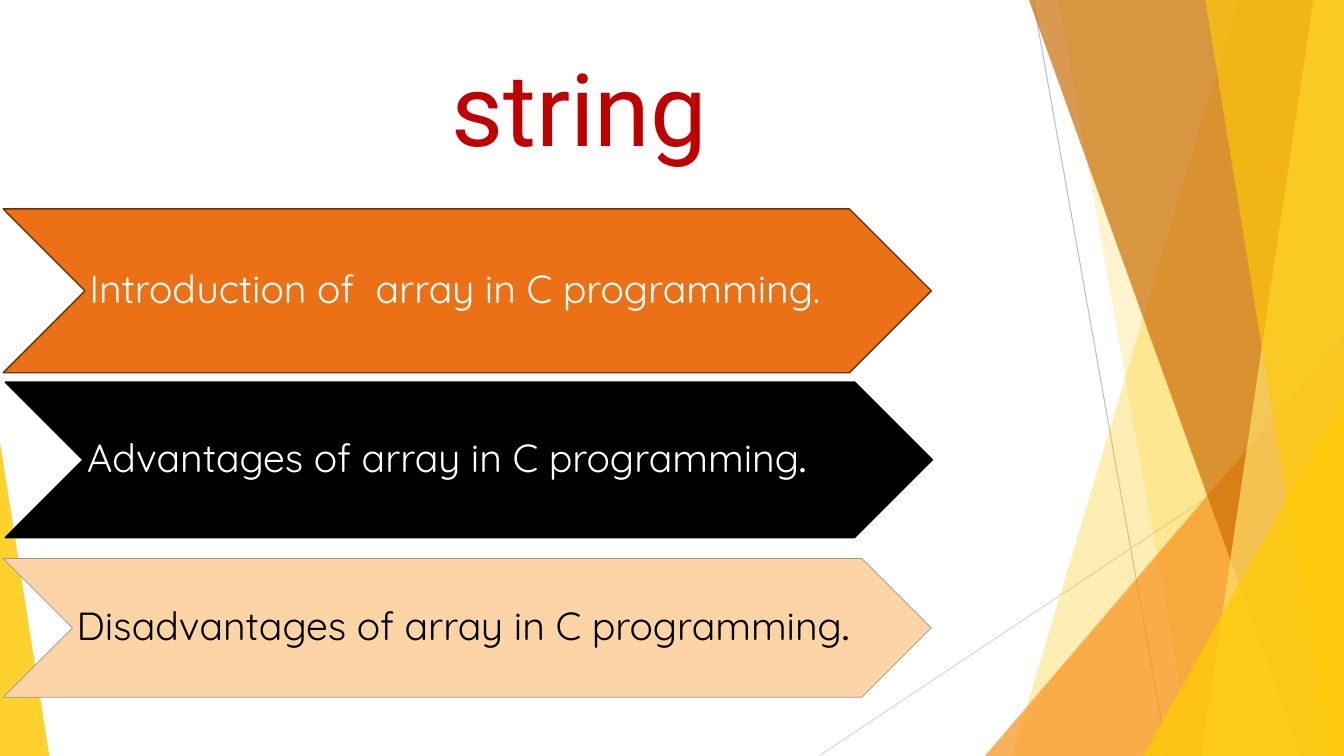
import dataclasses
import typing

import lxml.etree
import pptx
import pptx.dml.color
import pptx.enum.shapes
import pptx.enum.text
import pptx.oxml.ns
import pptx.util

RGB = pptx.dml.color.RGBColor
KIND = pptx.enum.shapes.MSO_SHAPE
ALIGN = pptx.enum.text.PP_ALIGN
ANCHOR = pptx.enum.text.MSO_ANCHOR

PX = 9525
WIDE, HIGH = 1280, 720

WHITE = RGB(0xFF, 0xFF, 0xFF)
BLACK = RGB(0x00, 0x00, 0x00)
RED = RGB(0xC0, 0x00, 0x00)
GOLD = RGB(0xFF, 0xCA, 0x08)
LEMON = RGB(0xFF, 0xDF, 0x6B)
AMBER = RGB(0xF8, 0x93, 0x1D)
BROWN = RGB(0xCA, 0x6F, 0x06)
ORANGE = RGB(0xEC, 0x70, 0x16)
RUST = RGB(0x67, 0x31, 0x0A)
PEACH = RGB(0xFC, 0xD4, 0xA5)
GREY = RGB(0x97, 0x97, 0x97)
SILVER = RGB(0xBF, 0xBF, 0xBF)
PALE = RGB(0xD9, 0xD9, 0xD9)


@dataclasses.dataclass
class Ray:
    x1: int
    y1: int
    x2: int
    y2: int
    color: RGB


@dataclasses.dataclass
class Band:
    """A strip from a slanted left edge to the right side of the slide."""
    top: int
    foot: int
    color: RGB
    alpha: int


@dataclasses.dataclass
class Wedge:
    x: int
    y: int
    w: int
    h: int
    tip: float
    color: RGB
    alpha: int


@dataclasses.dataclass
class Arrow:
    x: int
    y: int
    w: int
    h: int
    fill: RGB
    edge: RGB
    weight: float
    ink: RGB
    runs: list[tuple[str, str]]


RAYS = [Ray(984, 0, 1112, HIGH, SILVER), Ray(WIDE, 387, 780, HIGH, PALE)]

# Back to front
FACETS = [
    Band(1179, 964, GOLD, 30),
    Band(1008, 1136, GOLD, 20),
    Wedge(938, 320, 342, 400, 1, AMBER, 72),
    Band(980, 1239, BROWN, 70),
    Band(1251, 1144, LEMON, 70),
    Band(1148, 1265, GOLD, 65),
    Wedge(1089, 377, 191, 343, 1, GOLD, 80),
    Wedge(0, 421, 47, 299, 0, GOLD, 85),
]

ARROWS = [
    Arrow(3, 199, 884, 156, ORANGE, RUST, 1, WHITE,
          [("Introduction of  array in C programming.", "Quicksand")]),
    Arrow(5, 364, 883, 148, BLACK, BLACK, 1, WHITE,
          [("Advantages of array in C programming", "Quicksand"), (".", "Karla")]),
    Arrow(3, 532, 884, 132, PEACH, GREY, 0.5, BLACK,
          [("Disadvantages of array in C programming", "Quicksand"), (".", "Karla")]),
]


def scale(*sizes: int) -> list[int]:
    return [size * PX for size in sizes]


def tint(shape: typing.Any, color: RGB, alpha: int) -> None:
    shape.shadow.inherit = False
    shape.line.fill.background()
    shape.fill.solid()
    shape.fill.fore_color.rgb = color
    node = shape.fill._xPr.find(".//" + pptx.oxml.ns.qn("a:srgbClr"))
    mark = lxml.etree.SubElement(node, pptx.oxml.ns.qn("a:alpha"))
    mark.set("val", str(alpha * 1000))


def write(para: typing.Any, text: str, font: str, size: int, color: RGB) -> None:
    run = para.add_run()
    run.text = text
    run.font.name = font
    run.font.size = pptx.util.Pt(size)
    run.font.color.rgb = color


def draw_ray(slide: typing.Any, ray: Ray) -> None:
    line = slide.shapes.add_connector(
        pptx.enum.shapes.MSO_CONNECTOR.STRAIGHT,
        *scale(ray.x1, ray.y1, ray.x2, ray.y2))
    line.line.color.rgb = ray.color
    line.line.width = pptx.util.Pt(0.75)
    lxml.etree.SubElement(line._element.spPr, pptx.oxml.ns.qn("a:effectLst"))


def draw_band(slide: typing.Any, band: Band) -> None:
    pen = slide.shapes.build_freeform(band.top, 0, PX)
    pen.add_line_segments([(WIDE, 0), (WIDE, HIGH), (band.foot, HIGH)])
    tint(pen.convert_to_shape(), band.color, band.alpha)


def draw_wedge(slide: typing.Any, wedge: Wedge) -> None:
    shape = slide.shapes.add_shape(
        KIND.ISOSCELES_TRIANGLE, *scale(wedge.x, wedge.y, wedge.w, wedge.h))
    shape.adjustments[0] = wedge.tip
    tint(shape, wedge.color, wedge.alpha)


def draw_arrow(slide: typing.Any, arrow: Arrow) -> None:
    shape = slide.shapes.add_shape(
        KIND.CHEVRON, *scale(arrow.x, arrow.y, arrow.w, arrow.h))
    shape.shadow.inherit = False
    shape.fill.solid()
    shape.fill.fore_color.rgb = arrow.fill
    shape.line.color.rgb = arrow.edge
    shape.line.width = pptx.util.Pt(arrow.weight)
    frame = shape.text_frame
    frame.word_wrap = True
    frame.vertical_anchor = ANCHOR.MIDDLE
    (frame.margin_left, frame.margin_top,
     frame.margin_right, frame.margin_bottom) = scale(4, 2, 0, 2)
    para = frame.paragraphs[0]
    para.alignment = ALIGN.LEFT
    para.line_spacing = 0.9
    for text, font in arrow.runs:
        write(para, text, font, 28, arrow.ink)


def set_title(slide: typing.Any) -> None:
    title = slide.shapes.title
    title.left, title.top, title.width, title.height = scale(376, 23, 351, 141)
    frame = title.text_frame
    frame.auto_size = pptx.enum.text.MSO_AUTO_SIZE.NONE
    frame.vertical_anchor = ANCHOR.BOTTOM
    para = frame.paragraphs[0]
    para.alignment = ALIGN.CENTER
    write(para, "string", "Roboto", 72, RED)


def main() -> None:
    deck = pptx.Presentation()
    deck.slide_width, deck.slide_height = scale(WIDE, HIGH)
    slide = deck.slides.add_slide(deck.slide_layouts.get_by_name("Title Only"))

    # Slanted backdrop
    for ray in RAYS:
        draw_ray(slide, ray)
    for facet in FACETS:
        if isinstance(facet, Band):
            draw_band(slide, facet)
        else:
            draw_wedge(slide, facet)

    # Heading and topics
    set_title(slide)
    for arrow in ARROWS:
        draw_arrow(slide, arrow)

    deck.save("out.pptx")


if __name__ == "__main__":
    main()
